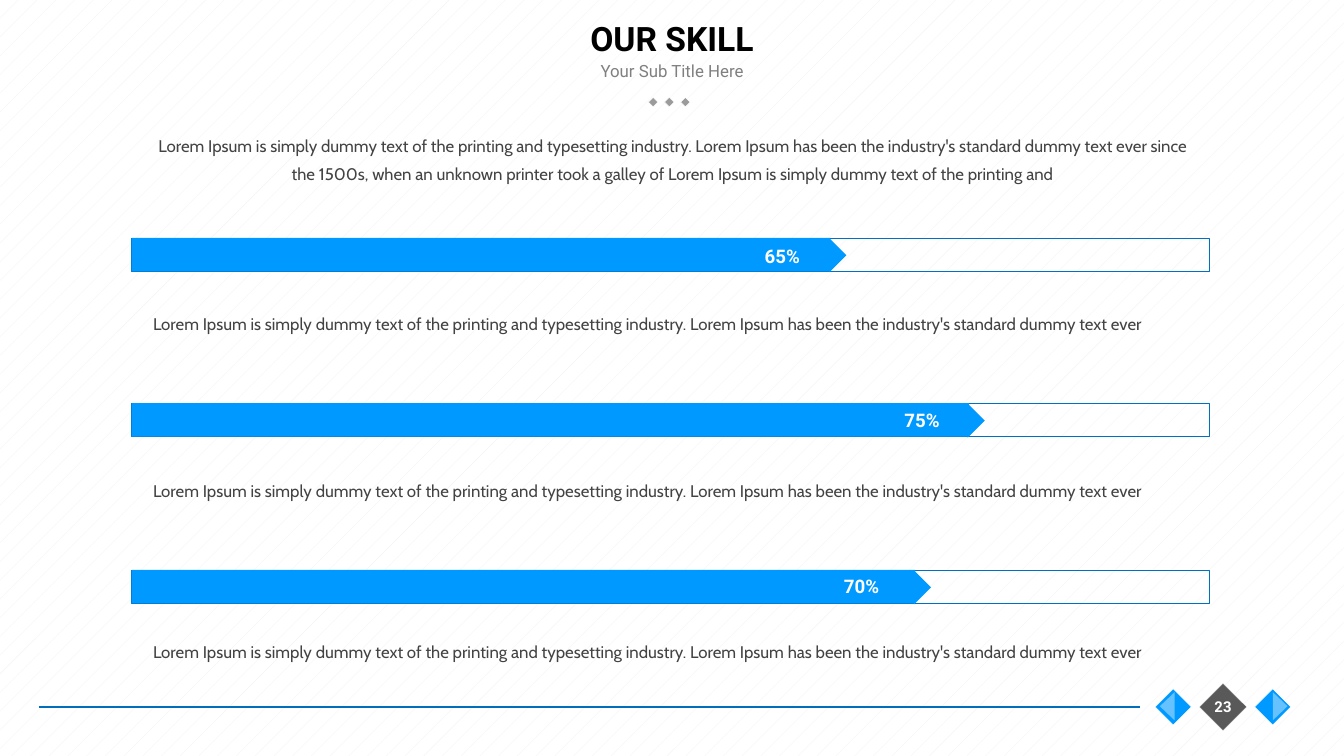
from dataclasses import dataclass

from lxml import etree
from pptx import Presentation
from pptx.dml.color import RGBColor
from pptx.enum.dml import MSO_PATTERN
from pptx.enum.shapes import MSO_CONNECTOR, MSO_SHAPE
from pptx.enum.text import MSO_ANCHOR, MSO_AUTO_SIZE, PP_ALIGN
from pptx.oxml.ns import qn
from pptx.util import Inches, Pt

RECTANGLE = MSO_SHAPE.RECTANGLE
CORNER = MSO_SHAPE.RIGHT_TRIANGLE
TRIANGLE = MSO_SHAPE.FLOWCHART_EXTRACT
STRAIGHT = MSO_CONNECTOR.STRAIGHT
LEFT, CENTER = PP_ALIGN.LEFT, PP_ALIGN.CENTER
TOP, MIDDLE = MSO_ANCHOR.TOP, MSO_ANCHOR.MIDDLE
GROW = MSO_AUTO_SIZE.SHAPE_TO_FIT_TEXT
DOTTED = MSO_PATTERN.PERCENT_5

COLORS = {
    "white": "FFFFFF",
    "pattern": "F2F2F2",
    "dot": "9B9B9B",
    "subtitle": "808080",
    "title": "000000",
    "body": "434343",
    "rule": "006EBC",
    "outline": "0070C0",
    "bar": "0099FF",
    "light": "66C2FF",
    "badge": "595959",
}

PAGE_WIDTH = 10
PAGE_HEIGHT = PAGE_WIDTH * 9 / 16
BAR_LEFT, BAR_WIDTH, BAR_HEIGHT = 0.98, 8.02, 0.25
TIP_SIZE = 0.18
BODY_LEFT, BODY_WIDTH = 1.04, 7.92
CAPTION = (
    "Lorem Ipsum is simply dummy text of the printing and typesetting industry. "
    "Lorem Ipsum has been the industry's standard dummy text ever"
)
INTRO = CAPTION + (
    " since the 1500s, when an unknown printer took a galley of "
    "Lorem Ipsum is simply dummy text of the printing and"
)


@dataclass(frozen=True)
class Skill:
    percent: str
    top: float
    filled: float
    label_left: float
    label_top: float
    caption_top: float


@dataclass(frozen=True)
class Diamond:
    center_x: float
    center_y: float
    size: float
    color: str


SKILLS = [
    Skill("65%", 1.77, 5.2, 5.46, 1.77, 2.23),
    Skill("75%", 3.0, 6.23, 6.5, 2.99, 3.47),
    Skill("70%", 4.24, 5.83, 6.05, 4.23, 4.67),
]
DOTS = [Diamond(4.86 + 0.12 * index, 0.76, 0.05, "dot") for index in range(3)]
FOOTER_DIAMONDS = [
    Diamond(9.1, 5.26, 0.25, "badge"),
    Diamond(9.47, 5.26, 0.19, "bar"),
    Diamond(8.73, 5.26, 0.19, "bar"),
]


def rgb(name: str) -> RGBColor:
    return RGBColor.from_string(COLORS[name])


def add_block(page, kind, left: float, top: float, width: float, height: float, *,
              fill: str | None = None, line: str | None = None, rotation: float = 0):
    shape = page.shapes.add_shape(
        kind, Inches(left), Inches(top), Inches(width), Inches(height))
    shape.shadow.inherit = False
    shape.rotation = rotation
    if fill:
        shape.fill.solid()
        shape.fill.fore_color.rgb = rgb(fill)
    else:
        shape.fill.background()
    if line:
        shape.line.color.rgb = rgb(line)
        shape.line.width = Pt(0.25)
    else:
        shape.line.fill.background()
    return shape


def add_text(page, text: str, left: float, top: float, width: float, height: float, *,
             size: float, color: str, font: str = "Roboto", bold: bool = False,
             align=CENTER, anchor=MIDDLE, line_points: float | None = None,
             grow: bool = False):
    box = page.shapes.add_textbox(
        Inches(left), Inches(top), Inches(width), Inches(height))
    frame = box.text_frame
    frame.word_wrap = True
    frame.vertical_anchor = anchor
    if grow:
        frame.auto_size = GROW
    para = frame.paragraphs[0]
    para.alignment = align
    if line_points:
        para.line_spacing = Pt(line_points)
    span = para.add_run()
    span.text = text
    span.font.name = font
    span.font.size = Pt(size)
    span.font.bold = bold
    span.font.color.rgb = rgb(color)
    return box


def add_body(page, text: str, top: float, height: float, align) -> None:
    add_text(page, text, BODY_LEFT, top, BODY_WIDTH, height, size=9, color="body",
             font="Cabin", align=align, anchor=TOP, line_points=15, grow=True)


def add_diamond(page, diamond: Diamond) -> None:
    half = diamond.size / 2
    add_block(page, RECTANGLE, diamond.center_x - half, diamond.center_y - half,
              diamond.size, diamond.size, fill=diamond.color, line="white", rotation=315)


def add_skill(page, skill: Skill) -> None:
    add_block(page, RECTANGLE, BAR_LEFT, skill.top, BAR_WIDTH, BAR_HEIGHT, line="outline")
    add_block(page, RECTANGLE, BAR_LEFT, skill.top, skill.filled, BAR_HEIGHT, fill="bar")
    add_block(page, CORNER, BAR_LEFT + skill.filled - 0.1, skill.top + 0.04,
              TIP_SIZE, TIP_SIZE, fill="bar", rotation=225)
    add_text(page, skill.percent, skill.label_left, skill.label_top, 0.72, 0.27,
             size=10, color="white", bold=True, anchor=TOP, grow=True)
    add_body(page, CAPTION, skill.caption_top, 0.29, LEFT)


def add_footer(page) -> None:
    rule = page.shapes.add_connector(
        STRAIGHT, Inches(0.29), Inches(5.26), Inches(8.48), Inches(5.26))
    rule.line.color.rgb = rgb("rule")
    rule.line.width = Pt(0.75)
    etree.SubElement(rule._element.spPr, qn("a:effectLst"))
    for diamond in FOOTER_DIAMONDS:
        add_diamond(page, diamond)
    for left, rotation in ((9.42, 90), (8.58, 270)):
        add_block(page, TRIANGLE, left, 5.2, 0.21, 0.11, fill="light", rotation=rotation)
    add_text(page, "23", 8.89, 5.13, 0.42, 0.25, size=8, color="white", bold=True)


def main() -> None:
    deck = Presentation()
    deck.slide_width, deck.slide_height = Inches(PAGE_WIDTH), Inches(PAGE_HEIGHT)
    page = deck.slides.add_slide(deck.slide_layouts[6])
    backdrop = page.background.fill
    backdrop.patterned()
    backdrop.pattern = DOTTED
    backdrop.fore_color.rgb = rgb("pattern")
    backdrop.back_color.rgb = rgb("white")

    for dot in DOTS:
        add_diamond(page, dot)
    add_text(page, "Your Sub Title Here", 3.75, 0.4, 2.5, 0.25, size=9, color="subtitle")
    add_footer(page)
    add_text(page, "OUR SKILL", 0.75, 0, 8.5, 0.56, size=18, color="title", bold=True)
    add_body(page, INTRO, 0.9, 0.52, CENTER)
    for skill in SKILLS:
        add_skill(page, skill)
    deck.save("out.pptx")


if __name__ == "__main__":
    main()
